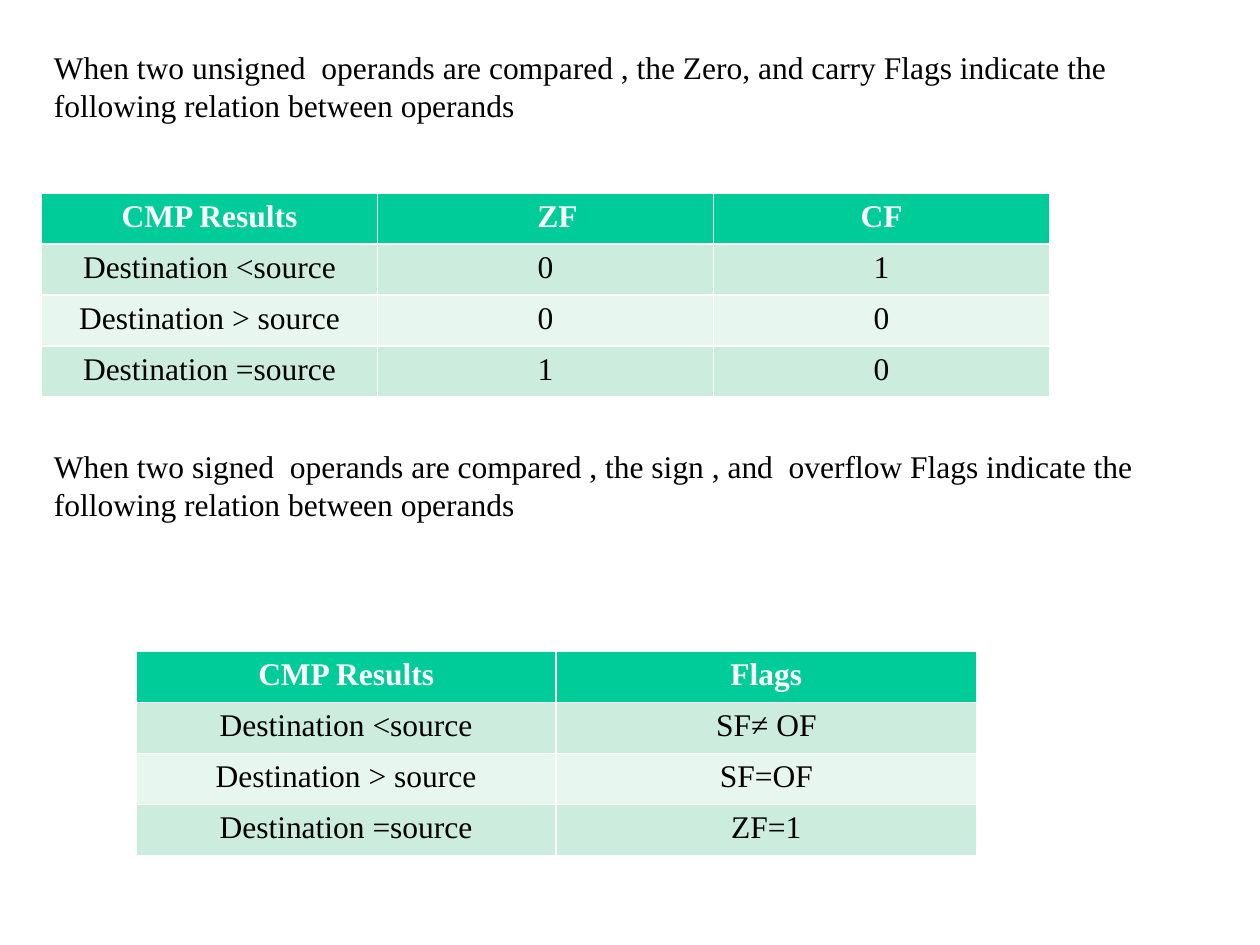
from pptx import Presentation
from pptx.dml.color import RGBColor
from pptx.enum.text import MSO_AUTO_SIZE, PP_ALIGN
from pptx.util import Inches, Pt

CENTER = PP_ALIGN.CENTER
GROW = MSO_AUTO_SIZE.SHAPE_TO_FIT_TEXT
BLANK_LAYOUT = 6
FONT = {"name": "Times New Roman", "size": Pt(18)}
HEADER, BAND_DARK, BAND_LIGHT = "00CC99", "CCECDE", "E7F6EF"
WHITE, BLACK = "FFFFFF", "000000"
ROW_HEIGHT = 0.405

UNSIGNED_NOTE = (
    "When two unsigned  operands are compared , the Zero, and carry Flags "
    "indicate the following relation between operands"
)
SIGNED_NOTE = (
    "When two signed  operands are compared , the sign , and  overflow Flags "
    "indicate the following relation between operands"
)
UNSIGNED_ROWS = [
    ("CMP Results", "ZF", "CF"),
    ("Destination <source", "0", "1"),
    ("Destination > source", "0", "0"),
    ("Destination =source", "1", "0"),
]
SIGNED_ROWS = [
    ("CMP Results", "Flags"),
    ("Destination <source", "SF≠ OF"),
    ("Destination > source", "SF=OF"),
    ("Destination =source", "ZF=1"),
]


def rgb(color):
    return RGBColor.from_string(color)


def write(frame, text, color, bold=False, align=None):
    para = frame.paragraphs[0]
    para.alignment = align
    span = para.add_run()
    span.text = text
    for name, value in {**FONT, "bold": bold}.items():
        setattr(span.font, name, value)
    span.font.color.rgb = rgb(color)


def add_note(page, top, text):
    box = page.shapes.add_textbox(
        Inches(0.33), Inches(top), Inches(9.25), Inches(0.71)
    )
    frame = box.text_frame
    frame.word_wrap = True
    frame.auto_size = GROW
    write(frame, text, BLACK)


def add_flag_table(page, left, top, width, rows):
    """Add a table with equal columns; its white rules come from the default style."""
    table = page.shapes.add_table(
        len(rows), len(rows[0]), Inches(left), Inches(top),
        Inches(width), Inches(ROW_HEIGHT * len(rows)),
    ).table
    for row, texts in enumerate(rows):
        is_header = row == 0
        band = BAND_DARK if row % 2 else BAND_LIGHT
        for column, text in enumerate(texts):
            cell = table.cell(row, column)
            cell.fill.solid()
            cell.fill.fore_color.rgb = rgb(HEADER if is_header else band)
            write(cell.text_frame, text, WHITE if is_header else BLACK,
                  is_header, CENTER)
    return table


def main():
    deck = Presentation()
    deck.slide_width, deck.slide_height = Inches(10), Inches(7.5)
    page = deck.slides.add_slide(deck.slide_layouts[BLANK_LAYOUT])

    unsigned_table = add_flag_table(page, 0.33, 1.53, 8, UNSIGNED_ROWS)
    # The ZF heading sits slightly right of its column's centre.
    unsigned_table.cell(0, 1).margin_left = Inches(0.29)
    add_note(page, 0.33, UNSIGNED_NOTE)
    add_note(page, 3.5, SIGNED_NOTE)
    add_flag_table(page, 1.08, 5.17, 6.67, SIGNED_ROWS)

    deck.save("out.pptx")


if __name__ == "__main__":
    main()
